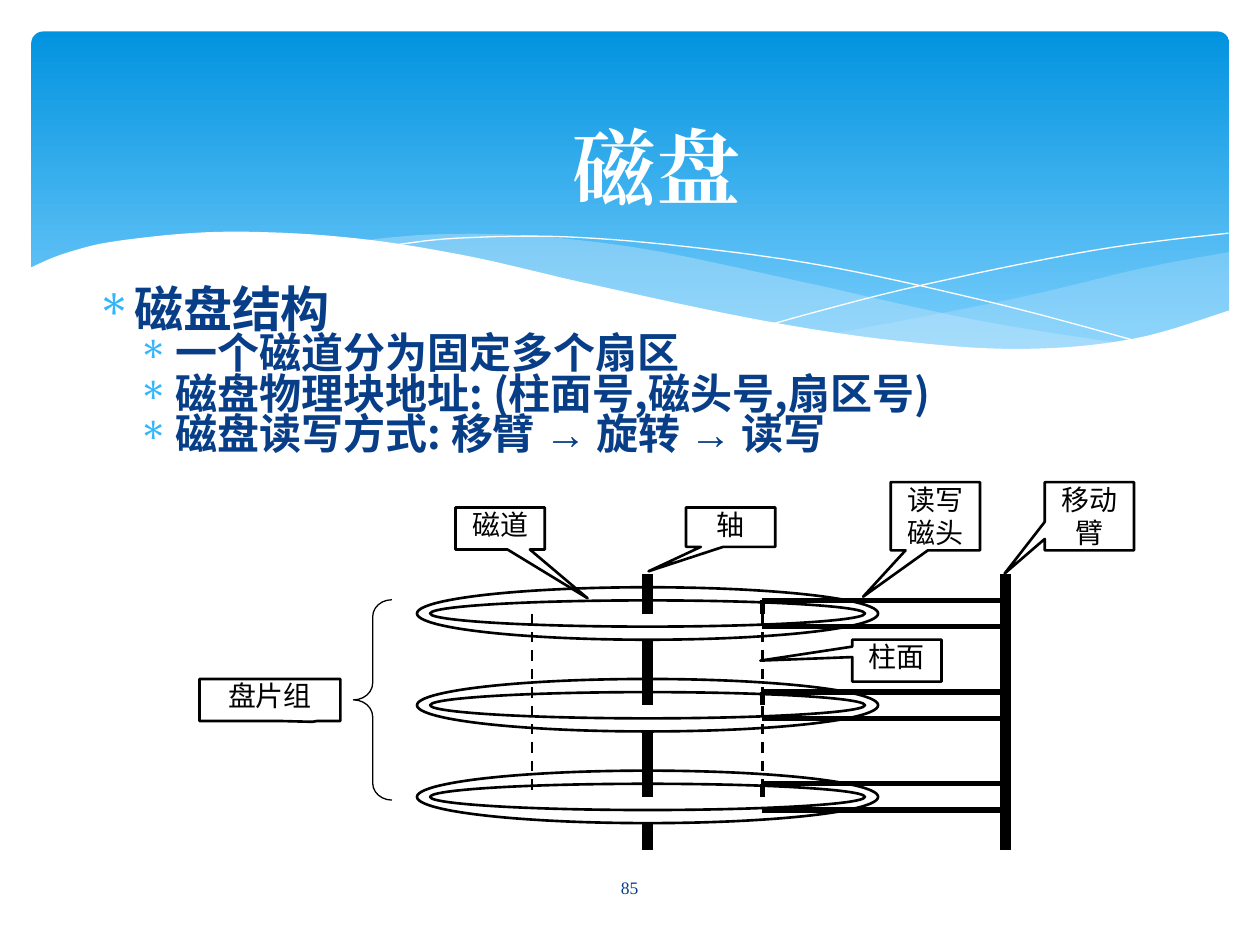
from lxml import etree
from pptx import Presentation
from pptx.dml.color import RGBColor
from pptx.enum.dml import MSO_LINE
from pptx.enum.shapes import MSO_CONNECTOR, MSO_SHAPE
from pptx.enum.text import MSO_ANCHOR, PP_ALIGN
from pptx.oxml.ns import qn
from pptx.util import Pt

DASH = MSO_LINE.DASH
STRAIGHT = MSO_CONNECTOR.STRAIGHT
ROUND = MSO_SHAPE.ROUNDED_RECTANGLE
DONUT = MSO_SHAPE.DONUT
BRACE = MSO_SHAPE.LEFT_BRACE
CALL = MSO_SHAPE.RECTANGULAR_CALLOUT
TOP, MIDDLE = MSO_ANCHOR.TOP, MSO_ANCHOR.MIDDLE
CENTER, JUSTIFY = PP_ALIGN.CENTER, PP_ALIGN.JUSTIFY
SERIF, SANS, BODY = "Times New Roman", "Noto Sans CJK SC", "Noto Sans CJK JP"
BLACK, WHITE, NAVY, SKY, PALE = "000000", "FFFFFF", "073E87", "31B6FD", "C6E7FC"


def rgb(code):
    return RGBColor.from_string(code)


def style(run, name, size, code, bold=False):
    """Format a run, with the same face for Latin and East Asian text."""
    font = run.font
    font.size, font.bold, font.name = Pt(size), bold, name
    font.color.rgb = rgb(code)
    etree.SubElement(run._r.get_or_add_rPr(), qn("a:ea"), typeface=name)


deck = Presentation()
deck.slide_width, deck.slide_height = Pt(720), Pt(540)
slide = deck.slides.add_slide(deck.slide_layouts[6])
shapes = slide.shapes

# Blue banner
banner = shapes.add_shape(ROUND, Pt(18), Pt(18), Pt(684.5), Pt(194.5))
banner.shadow.inherit = False
banner.adjustments[0] = 0.034
banner.line.fill.background()
banner.fill.gradient()
banner.fill.gradient_angle = 270
for stop, code, place in zip(banner.fill.gradient_stops, ("0293E0", "83D3FE"), (0, 1)):
    stop.color.rgb = rgb(code)
    stop.position = place

# Waves: curves through knots in units of 0.72 pt, then fill and opacity in percent
WAVES = [
    ([[(976, 200), (906, 213), (805, 237), (661, 265)],
      [(661, 265), (732, 274), (814, 278), (889, 272), (976, 247)]], PALE, 29),
    ([[(893, 273), (775, 254), (629, 222), (514, 198), (420, 187), (344, 186), (286, 191)],
      [(286, 191), (404, 211), (530, 240), (665, 266), (773, 278), (893, 273)]], PALE, 40),
    ([[(309, 195), (363, 189), (450, 188), (556, 197), (665, 213), (795, 242),
       (907, 272)]], None, 100),
    ([[(613, 257), (720, 229), (866, 199), (975, 185)]], None, 100),
    ([[(977, 246), (899, 269), (809, 277), (708, 270), (603, 254), (475, 227),
       (365, 202), (271, 188), (176, 184), (95, 191), (52, 201), (23, 213)],
      [(23, 329), (977, 329)]], WHITE, 100),
]
STEPS = 8
FINE = 10
for curves, code, alpha in WAVES:
    points = []
    for knots in curves:
        ends = [knots[0]] + knots + [knots[-1]]
        for quad in zip(ends, ends[1:], ends[2:], ends[3:]):
            for t in (step / STEPS for step in range(STEPS)):
                # Catmull-Rom spline
                points.append([
                    FINE * (b + t * (c - a + t * (2 * a - 5 * b + 4 * c - d
                                                  + t * (3 * (b - c) + d - a))) / 2)
                    for a, b, c, d in zip(*quad)])
        points.append([FINE * value for value in knots[-1]])
    build = shapes.build_freeform(*points[0], scale=Pt(0.72) / FINE)
    build.add_line_segments(points[1:], close=code is not None)
    wave = build.convert_to_shape()
    wave.shadow.inherit = False
    if code:
        wave.fill.solid()
        wave.fill.fore_color.rgb = rgb(code)
        wave.line.fill.background()
    else:
        wave.fill.background()
        wave.line.color.rgb = rgb(WHITE)
        wave.line.width = Pt(0)
    if alpha < 100:
        tint = wave._element.spPr.find(".//" + qn("a:srgbClr"))
        etree.SubElement(tint, qn("a:alpha"), val=str(alpha * 1000))

# Title and page number
for text, x, y, w, h, size, code, bold in [
    ("磁盘", 66, 57.5, 618, 75, 48, WHITE, True),
    ("85", 314, 492.5, 91.5, 29, 10, NAVY, False),
]:
    frame = shapes.add_textbox(Pt(x), Pt(y), Pt(w), Pt(h)).text_frame
    frame.word_wrap = True
    frame.vertical_anchor = MIDDLE
    frame.text = text
    frame.paragraphs[0].alignment = CENTER
    style(frame.paragraphs[0].runs[0], SERIF, size, code, bold)

# Bullets
frame = shapes.add_textbox(Pt(48), Pt(162), Pt(641.5), Pt(113)).text_frame
frame.word_wrap = True
POINTS = [
    (0, ["磁盘结构"]),
    (1, ["一个磁道分为固定多个扇区"]),
    (1, ["磁盘物理块地址: (柱面号,磁头号,扇区号)"]),
    (1, ["磁盘读写方式: 移臂 ", "→", " 旋转 ", "→", " 读写"]),
]
for i, (level, parts) in enumerate(POINTS):
    para = frame.add_paragraph() if i else frame.paragraphs[0]
    para.level = level
    para.alignment = JUSTIFY
    para.line_spacing = 0.8
    props = para._p.get_or_add_pPr()
    props.set("marL", str(Pt((21.6, 45.4)[level])))
    props.set("indent", str(Pt(-21.6)))
    tint = etree.SubElement(props, qn("a:buClr"))
    etree.SubElement(tint, qn("a:srgbClr"), val=SKY)
    etree.SubElement(props, qn("a:buChar"), char="∗")
    for part in parts:
        run = para.add_run()
        run.text = part
        style(run, "Arial" if part == "→" else BODY, (28, 24)[level], NAVY, True)

# Disk pack: three platters on a spindle, with pairs of arms on a rod
AXIS, HEAD, ROD, TRACK = 370, 435.6, 574.6, 304
HIGH, LOW = 328, 485.5
mids = [350.6 + 52.4 * i for i in range(3)]
lines = [(ROD, HIGH, ROD, LOW, 6, None)]
for start, end in zip([HIGH] + [mid + 15 for mid in mids], mids + [LOW]):
    lines.append((AXIS, start, AXIS, end, 6, None))
for mid in mids:
    lines += [(HEAD, mid + gap, ROD, mid + gap, 3, None) for gap in (-7.5, 7.5)]
    lines.append((HEAD, mid - 7.5, HEAD, mid, 3, None))
for x in (TRACK, HEAD):
    lines.append((x, mids[0], x, mids[-1], 1.5, DASH))
for x1, y1, x2, y2, width, dash in lines:
    line = shapes.add_connector(STRAIGHT, Pt(x1), Pt(y1), Pt(x2), Pt(y2))
    line.line.color.rgb = rgb(BLACK)
    line.line.width = Pt(width)
    if dash:
        line.line.dash_style = dash
    etree.SubElement(line._element.spPr, qn("a:effectLst"))

# Outlined shapes: platters, brace and labels
parts = [(DONUT, 238.3, mid - 15, 263.5, 30, (0.25,), 1.5, "") for mid in mids]
parts.append((BRACE, 202, 342.7, 22, 114.5, (0.44, 0.5), 0.75, ""))
for text, x, y, w, h, tip in [
    ("轴", 392, 290, 51, 22.5, (-0.92, 1.12)),
    ("盘片组", 114, 388, 80.5, 24, (0.3, 0.52)),
    ("移动\n臂", 597, 275.5, 51, 39, (-0.95, 0.84)),
    ("读写\n磁头", 509, 275.5, 51, 39, (-0.81, 1.18)),
    ("磁道", 260.3, 290, 51, 24, (0.98, 1.66)),
    ("柱面", 487, 365.5, 51, 24, (-1.53, 0)),
]:
    parts.append((CALL, x, y, w, h, tip, 1.5, text))
for kind, x, y, w, h, adjust, width, text in parts:
    shape = shapes.add_shape(kind, Pt(x), Pt(y), Pt(w), Pt(h))
    shape.shadow.inherit = False
    shape.fill.background()
    shape.line.color.rgb = rgb(BLACK)
    shape.line.width = Pt(width)
    for i, value in enumerate(adjust):
        shape.adjustments[i] = value
    if text:
        frame = shape.text_frame
        frame.margin_left = frame.margin_right = Pt(0)
        frame.margin_top = frame.margin_bottom = Pt(0)
        frame.vertical_anchor = TOP
        frame.text = text
        for para in frame.paragraphs:
            para.alignment = CENTER
            style(para.runs[0], SANS, 16, BLACK)

deck.save("out.pptx")
